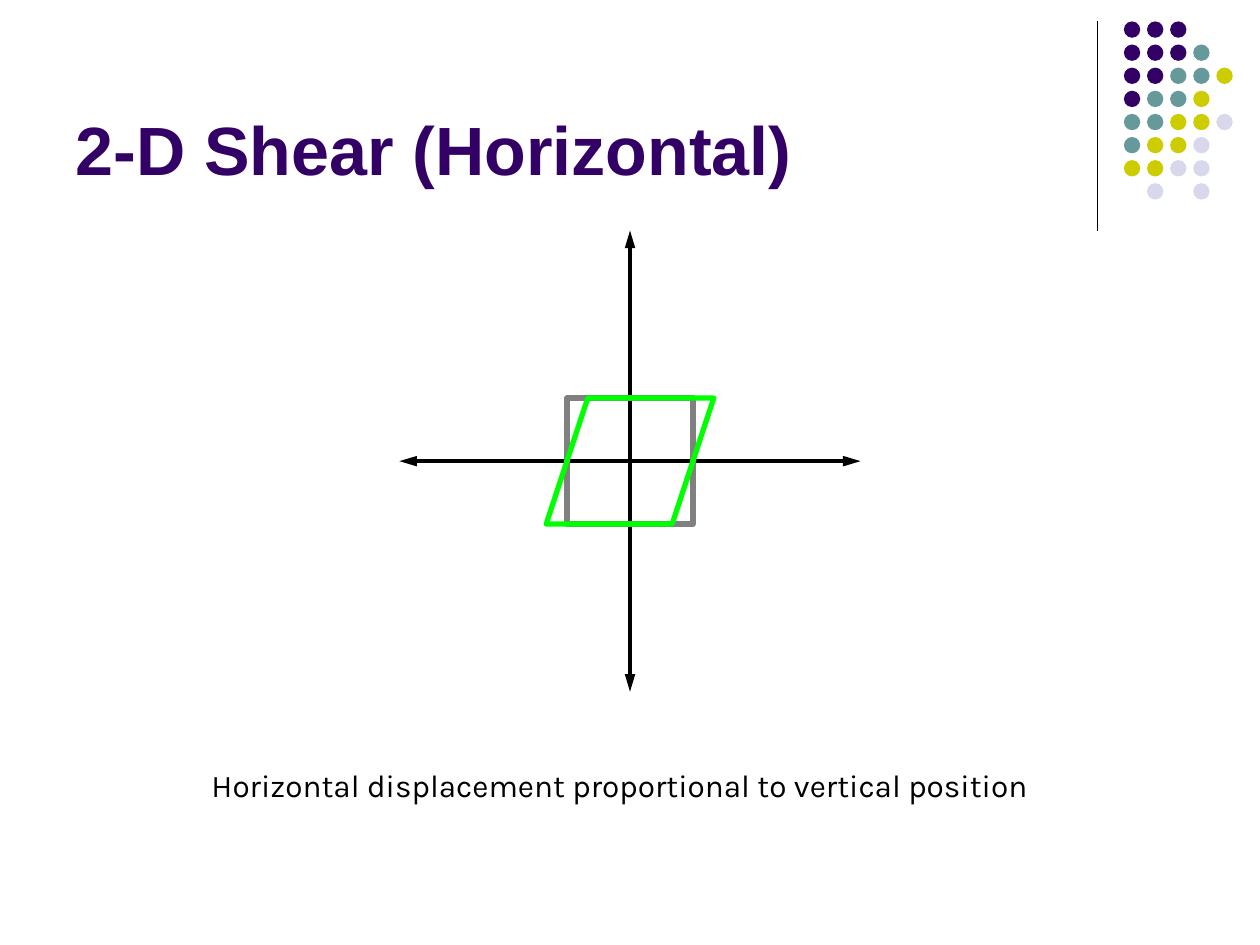
from lxml import etree
from pptx import Presentation
from pptx.dml.color import RGBColor
from pptx.enum.shapes import MSO_CONNECTOR, MSO_SHAPE
from pptx.enum.text import MSO_ANCHOR
from pptx.oxml.ns import qn
from pptx.util import Inches, Pt

BLACK = RGBColor(0x00, 0x00, 0x00)
PURPLE = RGBColor(0x33, 0x00, 0x66)
TEAL = RGBColor(0x66, 0x99, 0x99)
OLIVE = RGBColor(0xCC, 0xCC, 0x00)
LAVENDER = RGBColor(0xD8, 0xD8, 0xEC)
GRAY = RGBColor(0x80, 0x80, 0x80)
GREEN = RGBColor(0x00, 0xFF, 0x00)

DOT_COLORS = {"P": PURPLE, "T": TEAL, "O": OLIVE, "L": LAVENDER}
DOT_ROWS = ["PPP", "PPPT", "PPTTO", "PTTO", "TTOOL", "TOOL", "OOLL", ".L.L"]


def add_line(page, start, end, weight, arrows=False):
    line = page.shapes.add_connector(
        MSO_CONNECTOR.STRAIGHT, *(Inches(value) for value in start + end)
    )
    line.line.color.rgb = BLACK
    line.line.width = Pt(weight)
    if arrows:
        outline = line.line._get_or_add_ln()
        for end_name in ("a:headEnd", "a:tailEnd"):
            etree.SubElement(outline, qn(end_name), type="triangle", w="med", len="lg")
    etree.SubElement(line._element.spPr, qn("a:effectLst"))


def add_outline(page, kind, left, top, width, height, color):
    shape = page.shapes.add_shape(
        kind, Inches(left), Inches(top), Inches(width), Inches(height)
    )
    shape.shadow.inherit = False
    shape.fill.background()
    shape.line.color.rgb = color
    shape.line.width = Pt(3)
    return shape


def add_text(page, box, text, font, size, color, bold=False, anchor=MSO_ANCHOR.TOP):
    frame = page.shapes.add_textbox(*(Inches(value) for value in box)).text_frame
    frame.word_wrap = True
    frame.vertical_anchor = anchor
    span = frame.paragraphs[0].add_run()
    span.text = text
    span.font.name = font
    span.font.size = Pt(size)
    span.font.bold = bold
    span.font.color.rgb = color


def add_dot_corner(page, left, top, height):
    add_line(page, (left, top), (left, top + height), 0.75)
    pitch, size = 0.1835, 0.13
    for row, codes in enumerate(DOT_ROWS):
        for column, code in enumerate(codes):
            if code not in DOT_COLORS:
                continue
            dot = page.shapes.add_shape(
                MSO_SHAPE.OVAL,
                Inches(left + 0.21 + column * pitch),
                Inches(top + row * pitch),
                Inches(size),
                Inches(size),
            )
            dot.shadow.inherit = False
            dot.fill.solid()
            dot.fill.fore_color.rgb = DOT_COLORS[code]
            dot.line.fill.background()


def add_shear_diagram(page, left, top, size):
    center_x, center_y = left + size / 2, top + size / 2
    add_line(page, (left, center_y), (left + size, center_y), 2, arrows=True)
    add_line(page, (center_x, top), (center_x, top + size), 2, arrows=True)
    side, shift = 1, 0.33
    square_top = center_y - side / 2
    add_outline(
        page, MSO_SHAPE.RECTANGLE, center_x - side / 2, square_top, side, side, GRAY
    )
    width = side + shift
    sheared = add_outline(
        page, MSO_SHAPE.PARALLELOGRAM, center_x - width / 2, square_top, width, side, GREEN
    )
    sheared.adjustments[0] = shift


def main():
    deck = Presentation()
    deck.slide_width, deck.slide_height = Inches(10), Inches(7.5)
    page = deck.slides.add_slide(deck.slide_layouts[6])
    add_dot_corner(page, 8.71, 0.17, 1.66)
    add_text(
        page, (0.5, 0.13, 8.25, 1.42), "2-D Shear (Horizontal)",
        "Arial", 39, PURPLE, bold=True, anchor=MSO_ANCHOR.BOTTOM,
    )
    add_shear_diagram(page, 3.17, 1.83, 3.66)
    add_text(
        page, (1.58, 6.03, 6.85, 0.4),
        "Horizontal displacement proportional to vertical position",
        "Karla", 18, BLACK,
    )
    deck.save("out.pptx")


if __name__ == "__main__":
    main()
